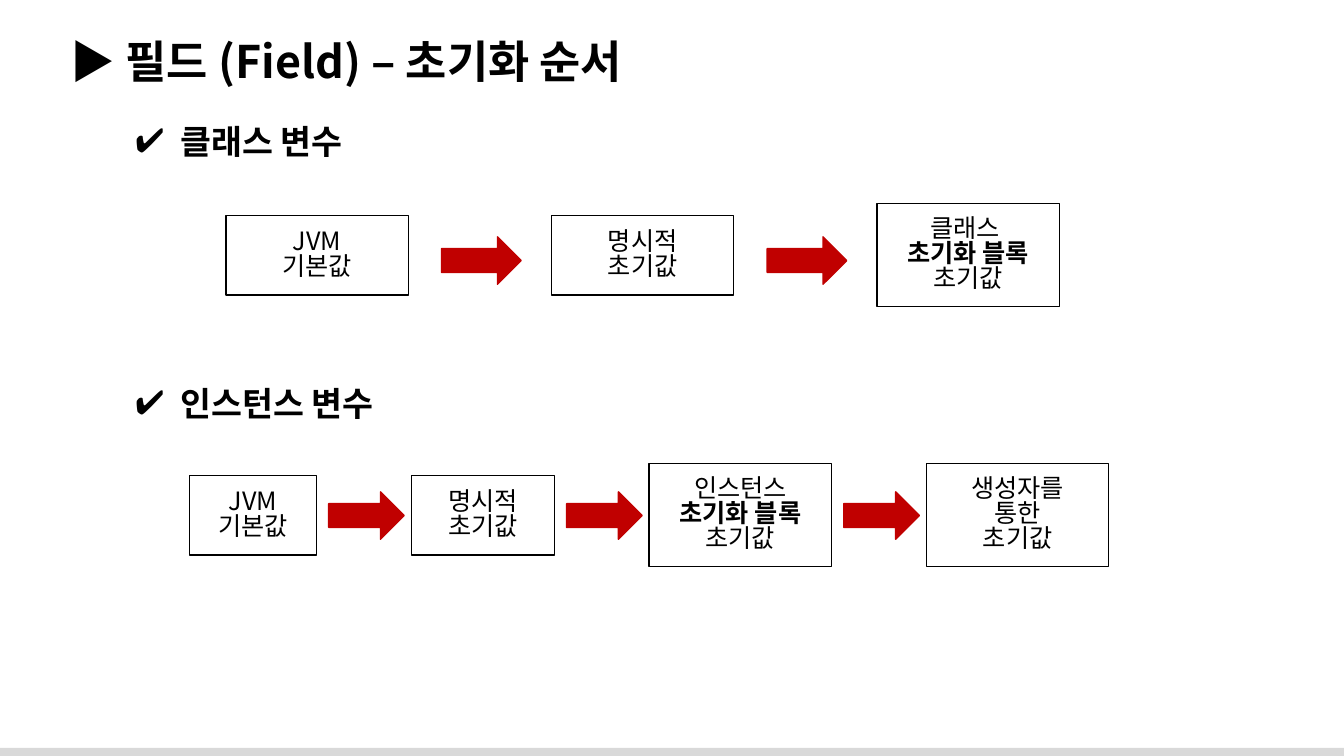
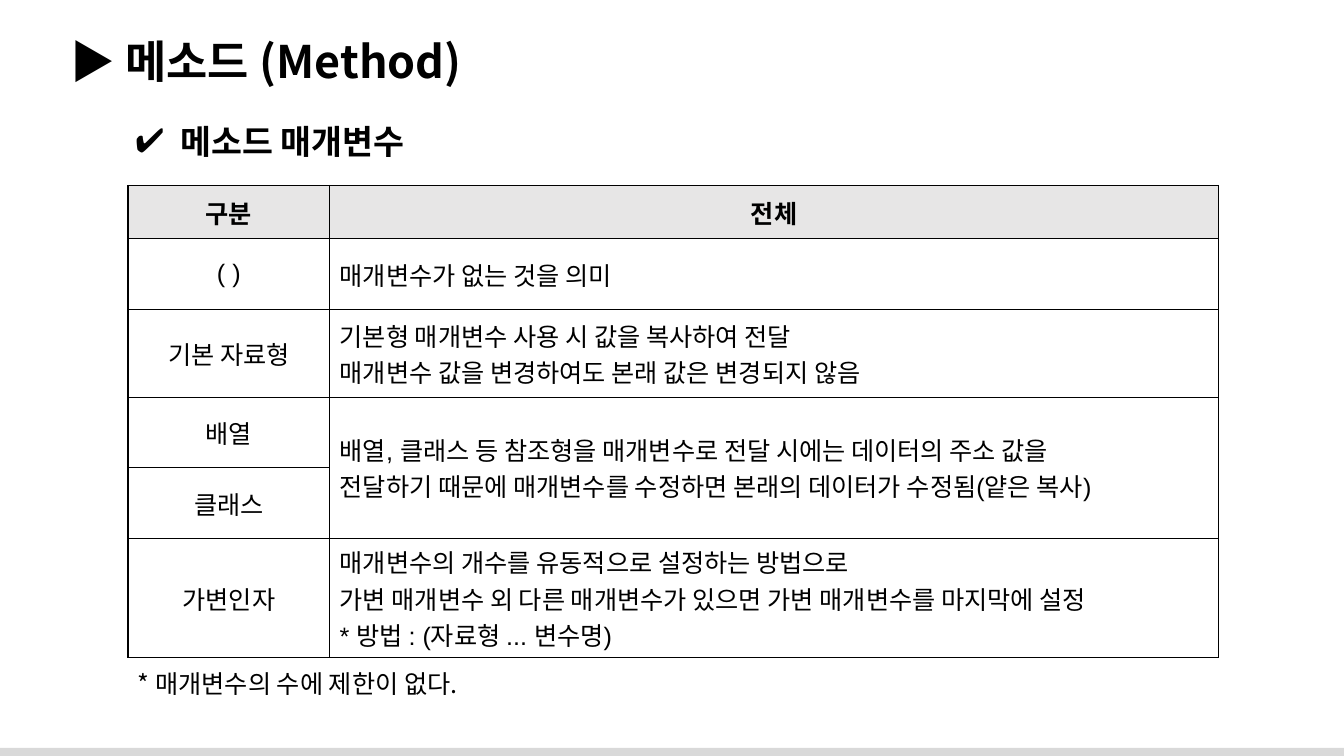
from lxml.etree import SubElement
from pptx import Presentation
from pptx.dml.color import RGBColor
from pptx.enum.shapes import MSO_SHAPE
from pptx.enum.text import MSO_ANCHOR, MSO_AUTO_SIZE, PP_ALIGN
from pptx.oxml.ns import qn
from pptx.util import Inches, Pt

color = RGBColor.from_string
BLACK, RED, BAND_GRAY, HEADER_GRAY = "000000", "C00000", "D9D9D9", "E7E6E6"
KOREAN = "Noto Sans CJK KR"
EMPHASIS = "초기화 블록 "
CELL = Inches(0.1)


def grid(*counts):
    return [round(count * CELL) for count in counts]


def write(frame, paragraphs, size, bold=False, align=PP_ALIGN.LEFT,
          latin=KOREAN, spacing=1.0):
    frame.word_wrap = True
    frame.vertical_anchor = MSO_ANCHOR.MIDDLE
    for index, runs in enumerate(paragraphs):
        paragraph = frame.add_paragraph() if index else frame.paragraphs[0]
        paragraph.alignment = align
        paragraph.line_spacing = spacing
        paragraph.space_before = Pt(0)
        for text in runs:
            run = paragraph.add_run()
            run.text = text
            run.font.size = Pt(size)
            run.font.bold = bold or text == EMPHASIS
            run.font.color.rgb = color(BLACK)
            run.font.name = latin
            SubElement(run._r.get_or_add_rPr(), qn("a:ea"), typeface=KOREAN)


prs = Presentation()
prs.slide_width, prs.slide_height = grid(133.33, 75)

pages = [
    (3, "▶ 필드 (Field) – 초기화 순서", [(11.5, "클래스 변수"), (37.5, "인스턴스 변수")]),
    (1, "▶ 메소드 (Method)", [(11.5, "메소드 매개변수")]),
]
for layout, heading, topics in pages:
    slide = prs.slides.add_slide(prs.slide_layouts[layout])
    title, *bodies = slide.placeholders
    title.left, title.top, title.width, title.height = grid(6, 2.8, 126, 6.4)
    write(title.text_frame, [[heading]], 32, bold=True)
    title.text_frame.auto_size = MSO_AUTO_SIZE.NONE
    for body, (top, topic) in zip(bodies, topics):
        body.left, body.top, body.width, body.height = grid(12.4, top, 40, 5)
        properties = body.text_frame.paragraphs[0]._p.get_or_add_pPr()
        hang = grid(4.5)[0]
        properties.set("marL", str(hang))
        properties.set("indent", str(-hang))
        bullet_color = SubElement(properties, qn("a:buClr"))
        SubElement(bullet_color, qn("a:srgbClr"), val=BLACK)
        SubElement(properties, qn("a:buChar"), char="✔")
        write(body.text_frame, [[topic]], 24, bold=True)
        body.text_frame.auto_size = MSO_AUTO_SIZE.NONE

field_slide, method_slide = prs.slides

band = field_slide.shapes.add_shape(MSO_SHAPE.RECTANGLE, *grid(-0.3, 74.2, 133.9, 1.1))
band.shadow.inherit = False
band.fill.solid()
band.fill.fore_color.rgb = color(BAND_GRAY)
band.line.fill.background()
prs.slide_master.shapes.element.insert(2, band.element)

default_value = [["JVM"], ["기본값"]]
explicit_value = [["명시적"], ["초기값"]]
flows = [
    (22.4, 25.3, 25.85, 14.2, 3.3, 7.9, [
        (18.1, default_value),
        (18.1, explicit_value),
        (18.1, [["클래스 "], [EMPHASIS, "초기값"]]),
    ]),
    (18.8, 51.1, 51.15, 9.4, 1.2, 7.5, [
        (12.6, default_value),
        (14.2, explicit_value),
        (18.1, [["인스턴스"], [EMPHASIS, "초기값"]]),
        (18.1, [["생성자를"], ["통한"], ["초기값"]]),
    ]),
]
for left, middle, arrow_middle, gap, lead, arrow_width, steps in flows:
    for number, (width, lines) in enumerate(steps):
        if number:
            arrow = field_slide.shapes.add_shape(
                MSO_SHAPE.RIGHT_ARROW,
                *grid(left - gap + lead, arrow_middle - 2.35, arrow_width, 4.7))
            arrow.shadow.inherit = False
            arrow.fill.solid()
            arrow.fill.fore_color.rgb = color(RED)
            arrow.line.color.rgb = color(RED)
            arrow.line.width = Pt(1)
        height = 7.9 if sum(map(len, lines)) == 2 else 10.2
        step = field_slide.shapes.add_shape(
            MSO_SHAPE.RECTANGLE, *grid(left, middle - height / 2, width, height))
        step.shadow.inherit = False
        step.fill.background()
        step.line.color.rgb = color(BLACK)
        step.line.width = Pt(1)
        write(step.text_frame, lines, 18, align=PP_ALIGN.CENTER, spacing=0.83)
        left += width + gap

parameters = [
    (5.3, "구분", ["전체"]),
    (7, "( )", ["매개변수가 없는 것을 의미"]),
    (8.7, "기본 자료형", ["기본형 매개변수 사용 시 값을 복사하여 전달",
                     "매개변수 값을 변경하여도 본래 값은 변경되지 않음"]),
    (7, "배열", ["배열, 클래스 등 참조형을 매개변수로 전달 시에는 데이터의 주소 값을",
               "전달하기 때문에 매개변수를 수정하면 본래의 데이터가 수정됨(얕은 복사)"]),
    (7, "클래스", []),
    (11.8, "가변인자", ["매개변수의 개수를 유동적으로 설정하는 방법으로",
                   "가변 매개변수 외 다른 매개변수가 있으면 가변 매개변수를 마지막에 설정",
                   "* 방법 : (자료형 ... 변수명)"]),
]
table_height = sum(height for height, _, _ in parameters)
table = method_slide.shapes.add_table(
    len(parameters), 2, *grid(12.7, 18.4, 108.2, table_height)).table
table.columns[0].width, table.columns[1].width = grid(20, 88.2)
table.cell(3, 1).merge(table.cell(4, 1))
for row, (height, kind, meaning) in enumerate(parameters):
    table.rows[row].height = grid(height)[0]
    for column, lines in enumerate([[kind], meaning]):
        cell = table.cell(row, column)
        for side in ("a:lnL", "a:lnR", "a:lnT", "a:lnB"):
            border = SubElement(cell._tc.get_or_add_tcPr(), qn(side), w=str(Pt(1)))
            SubElement(SubElement(border, qn("a:solidFill")), qn("a:srgbClr"), val=BLACK)
        if row:
            cell.fill.background()
        else:
            cell.fill.solid()
            cell.fill.fore_color.rgb = color(HEADER_GRAY)
        cell.vertical_anchor = MSO_ANCHOR.MIDDLE
        centered = row == 0 or column == 0
        write(cell.text_frame, [[line] for line in lines], 18, bold=row == 0,
              align=PP_ALIGN.CENTER if centered else PP_ALIGN.LEFT, latin="Arial")

remark = method_slide.shapes.add_textbox(*grid(12.7, 65.8, 37.5, 4))
write(remark.text_frame, [["* 매개변수의 수에 제한이 없다."]], 18)

prs.save("out.pptx")
